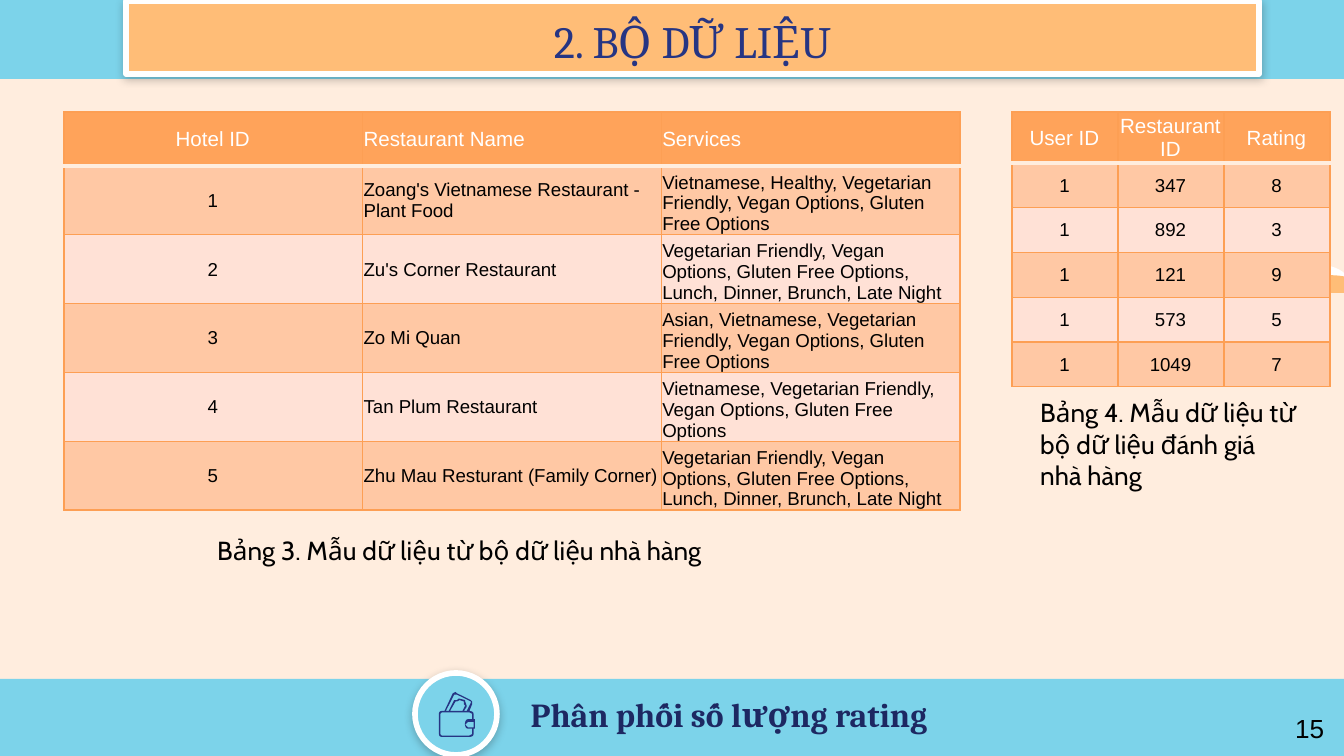
from lxml import etree
from pptx import Presentation
from pptx.dml.color import RGBColor
from pptx.enum.shapes import MSO_SHAPE
from pptx.enum.text import MSO_ANCHOR, PP_ALIGN
from pptx.oxml.ns import qn
from pptx.util import Pt

PAGE_WIDTH, PAGE_HEIGHT = 1344, 756
SCALE = 9144000 / PAGE_WIDTH

CREAM = RGBColor(0xFF, 0xED, 0xDE)
SKY = RGBColor(0x7C, 0xD3, 0xEA)
PEACH = RGBColor(0xFF, 0xBD, 0x77)
ORANGE = RGBColor(0xFF, 0xA3, 0x5A)
ORANGE_BAND = RGBColor(0xFF, 0xC8, 0xA4)
PINK_BAND = RGBColor(0xFF, 0xE1, 0xD6)
BORDER = RGBColor(0xFD, 0x9F, 0x54)
INDIGO = RGBColor(0x26, 0x35, 0x83)
NAVY = RGBColor(0x1D, 0x28, 0x62)
WHITE = RGBColor(0xFF, 0xFF, 0xFF)
BLACK = RGBColor(0, 0, 0)

RESTAURANTS = [
    ("Hotel ID", "Restaurant Name", "Services"),
    ("1", "Zoang's Vietnamese Restaurant - Plant Food",
     "Vietnamese, Healthy, Vegetarian Friendly, Vegan Options, Gluten Free Options"),
    ("2", "Zu's Corner Restaurant",
     "Vegetarian Friendly, Vegan Options, Gluten Free Options, Lunch, Dinner, Brunch, Late Night"),
    ("3", "Zo Mi Quan",
     "Asian, Vietnamese, Vegetarian Friendly, Vegan Options, Gluten Free Options"),
    ("4", "Tan Plum Restaurant",
     "Vietnamese, Vegetarian Friendly, Vegan Options, Gluten Free Options"),
    ("5", "Zhu Mau Resturant (Family Corner)",
     "Vegetarian Friendly, Vegan Options, Gluten Free Options, Lunch, Dinner, Brunch, Late Night"),
]
RATINGS = [("User ID", "Restaurant ID", "Rating"), ("1", "347", "8"), ("1", "892", "3"),
           ("1", "121", "9"), ("1", "573", "5"), ("1", "1049", "7")]

# Outlines on a local grid: pairs are corners, sextets are cubic curves.
BACK_CLOUD = [[
    (59, 0), (48, 0, 36, 7, 33, 18), (30, 16, 26, 15, 22, 15), (18, 15, 15, 16, 11, 17),
    (6, 20, 2, 24, 0, 29), (171, 29), (165, 24, 158, 22, 150, 22), (144, 22, 138, 23, 133, 27),
    (130, 20, 123, 15, 115, 14), (114, 13, 113, 13, 111, 13), (105, 13, 98, 16, 93, 21),
    (86, 11, 76, 2, 63, 1), (62, 0, 61, 0, 59, 0)]]
FRONT_CLOUD = [[
    (61, 0), (60, 0, 59, 0, 58, 0), (46, 1, 35, 7, 27, 17), (24, 14, 20, 13, 16, 13),
    (14, 13, 12, 13, 9, 14), (6, 15, 3, 17, 0, 19), (149, 19), (146, 15, 141, 11, 136, 9),
    (130, 7, 123, 6, 117, 6), (106, 6, 96, 8, 90, 15), (84, 5, 72, 0, 61, 0)]]
WALLET = [
    [(15, 6), (18, 7), (18, 9), (19, 10), (17, 14), (8, 14), (12, 7), (13, 7)],
    [(12, 2), (13, 2), (23, 7), (23, 8), (20, 14), (18, 14), (20, 11), (20, 10), (19, 7),
     (19, 6), (15, 5), (14, 5), (13, 6), (11, 6), (7, 14), (5, 14), (11, 2)],
    [(25, 22), (25, 26), (21, 26), (19, 24), (21, 22)],
    [(22, 15), (24, 16), (24, 20), (21, 20), (18, 20, 18, 27, 21, 27), (24, 27), (24, 31),
     (22, 32), (2, 32), (1, 31), (1, 16), (2, 15)],
    [(12, 0), (10, 1), (4, 14), (2, 14), (0, 14, 0, 16, 0, 16), (0, 31),
     (0, 33, 2, 33, 2, 33), (22, 33), (25, 33, 25, 31, 25, 31), (25, 27), (26, 27),
     (26, 20), (25, 20), (25, 16), (25, 14, 22, 14, 22, 14), (24, 9), (24, 7), (23, 6), (13, 1)],
]


def px(length):
    return round(length * SCALE)


def emu(box):
    return [px(length) for length in box]


def add_preset(shapes, kind, box, fill, raised=False):
    """Add a flat shape, or one with a white rim and a soft shadow."""
    shape = shapes.add_shape(kind, *emu(box))
    shape.shadow.inherit = False
    shape.fill.solid()
    shape.fill.fore_color.rgb = fill
    if not raised:
        shape.line.fill.background()
        return shape
    shape.line.color.rgb = WHITE
    shape.line.width = Pt(3)
    effects = shape._element.spPr.find(qn("a:effectLst"))
    shadow = etree.SubElement(effects, qn("a:outerShdw"), blurRad=str(Pt(4.5)),
                              dist=str(Pt(1.5)), dir="5400000", algn="bl", rotWithShape="0")
    color = etree.SubElement(shadow, qn("a:srgbClr"), val="191919")
    etree.SubElement(color, qn("a:alpha"), val="25000")
    return shape


def set_text(frame, text, size, font, color, align=PP_ALIGN.LEFT, bold=False):
    frame.text = text
    frame.word_wrap = True
    para = frame.paragraphs[0]
    para.alignment = align
    span = para.runs[0].font
    span.size, span.name, span.bold = Pt(size), font, bold
    span.color.rgb = color


def set_insets(target, left, top, right, bottom):
    target.margin_left, target.margin_top = px(left), px(top)
    target.margin_right, target.margin_bottom = px(right), px(bottom)


def add_label(shapes, box, text, size, font, color, **style):
    label = shapes.add_textbox(*emu(box))
    set_text(label.text_frame, text, size, font, color, **style)
    return label


def flatten(outline, steps=8):
    """Turn corners and cubic curves into a list of points."""
    points = [outline[0]]
    for part in outline[1:]:
        if len(part) == 2:
            points.append(part)
            continue
        start = points[-1]
        for step in range(1, steps + 1):
            t = step / steps
            u = 1 - t
            points.append(tuple(
                u ** 3 * start[i] + 3 * u * u * t * part[i]
                + 3 * u * t * t * part[i + 2] + t ** 3 * part[i + 4] for i in (0, 1)))
    return points


def add_outline(shapes, box, grid, outlines, fill):
    """Draw closed outlines from a grid of the given size, stretched over the box."""
    left, top, width, height = box
    contours = [[(px(left + x * width / grid[0]), px(top + y * height / grid[1]))
                 for x, y in flatten(outline)] for outline in outlines]
    builder = shapes.build_freeform(*contours[0][0], scale=1)
    builder.add_line_segments(contours[0][1:], close=True)
    for contour in contours[1:]:
        builder.move_to(*contour[0])
        builder.add_line_segments(contour[1:], close=True)
    shape = builder.convert_to_shape()
    shape.shadow.inherit = False
    shape.fill.solid()
    shape.fill.fore_color.rgb = fill
    shape.line.fill.background()


def set_borders(cell, borders):
    """Set cell borders from (side, colour, points) in the order L, R, T, B."""
    properties = cell._tc.get_or_add_tcPr()
    for index, (side, color, width) in enumerate(borders):
        line = etree.Element(qn(f"a:ln{side}"), w=str(Pt(width)))
        fill = etree.SubElement(line, qn("a:solidFill"))
        etree.SubElement(fill, qn("a:srgbClr"), val=str(color))
        properties.insert(index, line)


def add_data_table(shapes, box, rows, header_height, aligns, last_anchor):
    left, top, width, height = box
    count = len(rows[0])
    table = shapes.add_table(len(rows), count, *emu(box)).table
    for column in table.columns:
        column.width = px(width) // count
    for r, values in enumerate(rows):
        header = r == 0
        table.rows[r].height = px(header_height if header
                                  else (height - header_height) / (len(rows) - 1))
        for c, value in enumerate(values):
            cell = table.cell(r, c)
            set_text(cell.text_frame, value, 11 if header else 10, "Arial",
                     WHITE if header else BLACK, aligns[c])
            set_insets(cell, 1, 1, 2, 0)
            last = c == count - 1 and not header
            cell.vertical_anchor = last_anchor if last else MSO_ANCHOR.MIDDLE
            cell.fill.solid()
            cell.fill.fore_color.rgb = (ORANGE if header else
                                        ORANGE_BAND if r % 2 else PINK_BAND)
            rule, edge = (CREAM, 2), (BORDER, 0.75)
            set_borders(cell, [("L", *edge), ("R", *edge),
                               ("T", *(rule if r == 1 else edge)),
                               ("B", *(rule if header else edge))])


def add_backdrop(page):
    page.background.fill.solid()
    page.background.fill.fore_color.rgb = CREAM
    for top, height in ((679, 77), (0, 79)):
        add_preset(page.shapes, MSO_SHAPE.RECTANGLE, (0, top, PAGE_WIDTH, height), SKY)
    add_outline(page.shapes, (1173, 247, 230, 39), (171, 29), BACK_CLOUD, WHITE)
    add_outline(page.shapes, (1173, 267, 200, 26), (149, 19), FRONT_CLOUD, PEACH)


def add_banner(page, box, text):
    banner = add_preset(page.shapes, MSO_SHAPE.RECTANGLE, box, PEACH, raised=True)
    set_text(banner.text_frame, text, 24, "Cambria", INDIGO, PP_ALIGN.CENTER)
    set_insets(banner.text_frame, 13, 13, 13, 13)
    banner.text_frame.vertical_anchor = MSO_ANCHOR.TOP


def add_footer(page, box, text):
    """Group a round wallet badge with the heading to its right."""
    left, top, width, height = box
    shapes = page.shapes.add_group_shape().shapes
    add_preset(shapes, MSO_SHAPE.OVAL, (left, top, height, height), SKY, raised=True)
    add_outline(shapes, (left + 24, top + 19, 36, 45), (26, 33), WALLET, INDIGO)
    heading = add_label(shapes, (left + 73, top + 19, width - 73, 55), text, 18, "Cambria",
                        NAVY, align=PP_ALIGN.CENTER, bold=True)
    set_insets(heading.text_frame, 13, 13, 13, 13)
    heading.text_frame.vertical_anchor = MSO_ANCHOR.BOTTOM


def main():
    deck = Presentation()
    deck.slide_width, deck.slide_height = px(PAGE_WIDTH), px(PAGE_HEIGHT)
    page = deck.slides.add_slide(deck.slide_layouts[6])
    shapes = page.shapes
    add_backdrop(page)
    add_banner(page, (126, 1, 1133, 73), "2. BỘ DỮ LIỆU")
    add_footer(page, (415, 673, 555, 82), "Phân phối số lượng rating")
    add_label(shapes, (1282, 706, 56, 46), "15", 14, "Arial", BLACK)
    add_data_table(shapes, (64, 112, 896, 398), RESTAURANTS, 54,
                   (PP_ALIGN.CENTER, PP_ALIGN.LEFT, PP_ALIGN.LEFT), MSO_ANCHOR.BOTTOM)
    add_data_table(shapes, (1012, 112, 318, 275), RATINGS, 51,
                   (PP_ALIGN.CENTER,) * 3, MSO_ANCHOR.MIDDLE)
    add_label(shapes, (204, 528, 586, 46), "Bảng 3. Mẫu dữ liệu từ bộ dữ liệu nhà hàng",
              14, "Cabin", BLACK)
    add_label(shapes, (1027, 390, 289, 109),
              "Bảng 4. Mẫu dữ liệu từ bộ dữ liệu đánh giá nhà hàng", 14, "Cabin", BLACK)
    deck.save("out.pptx")


if __name__ == "__main__":
    main()
